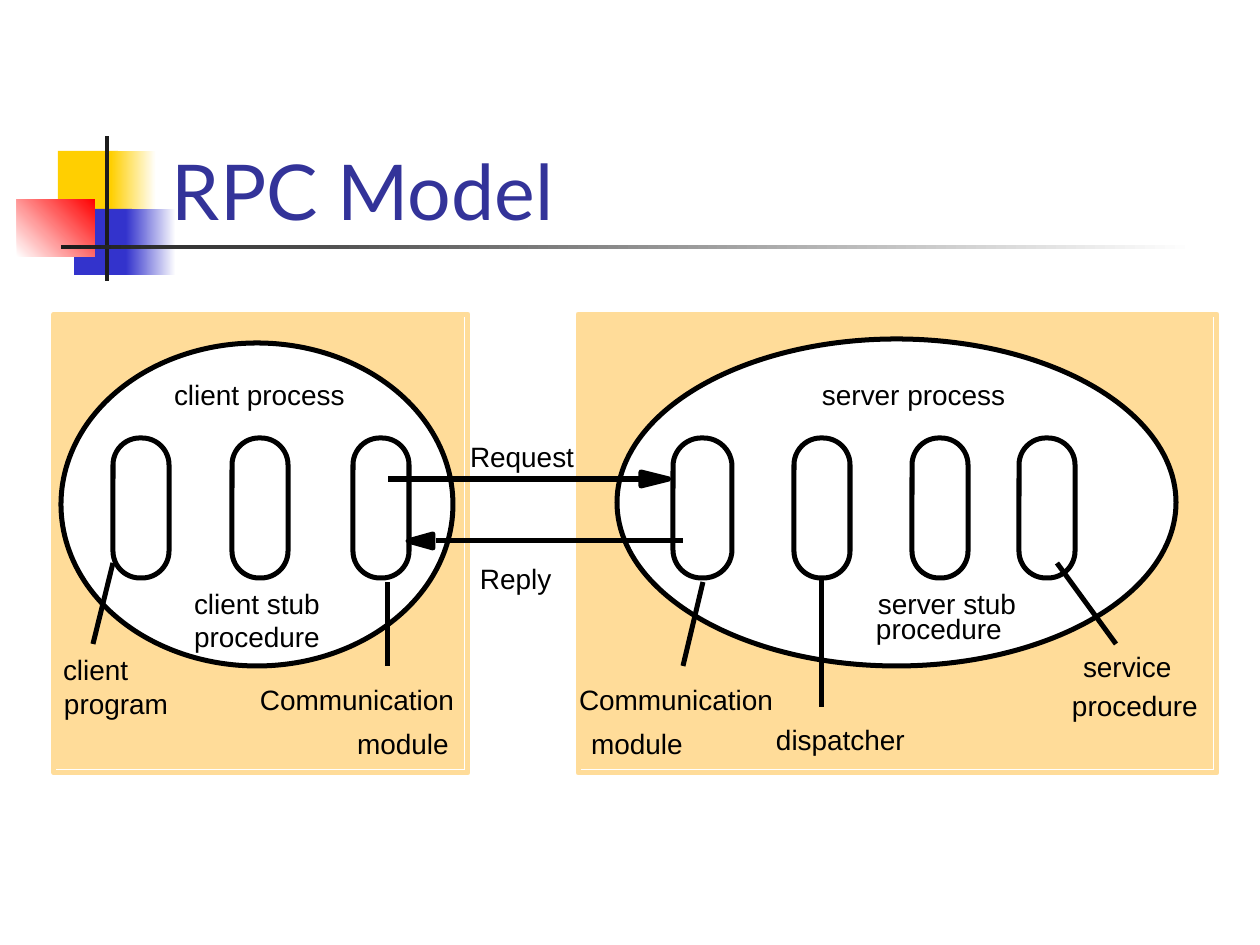
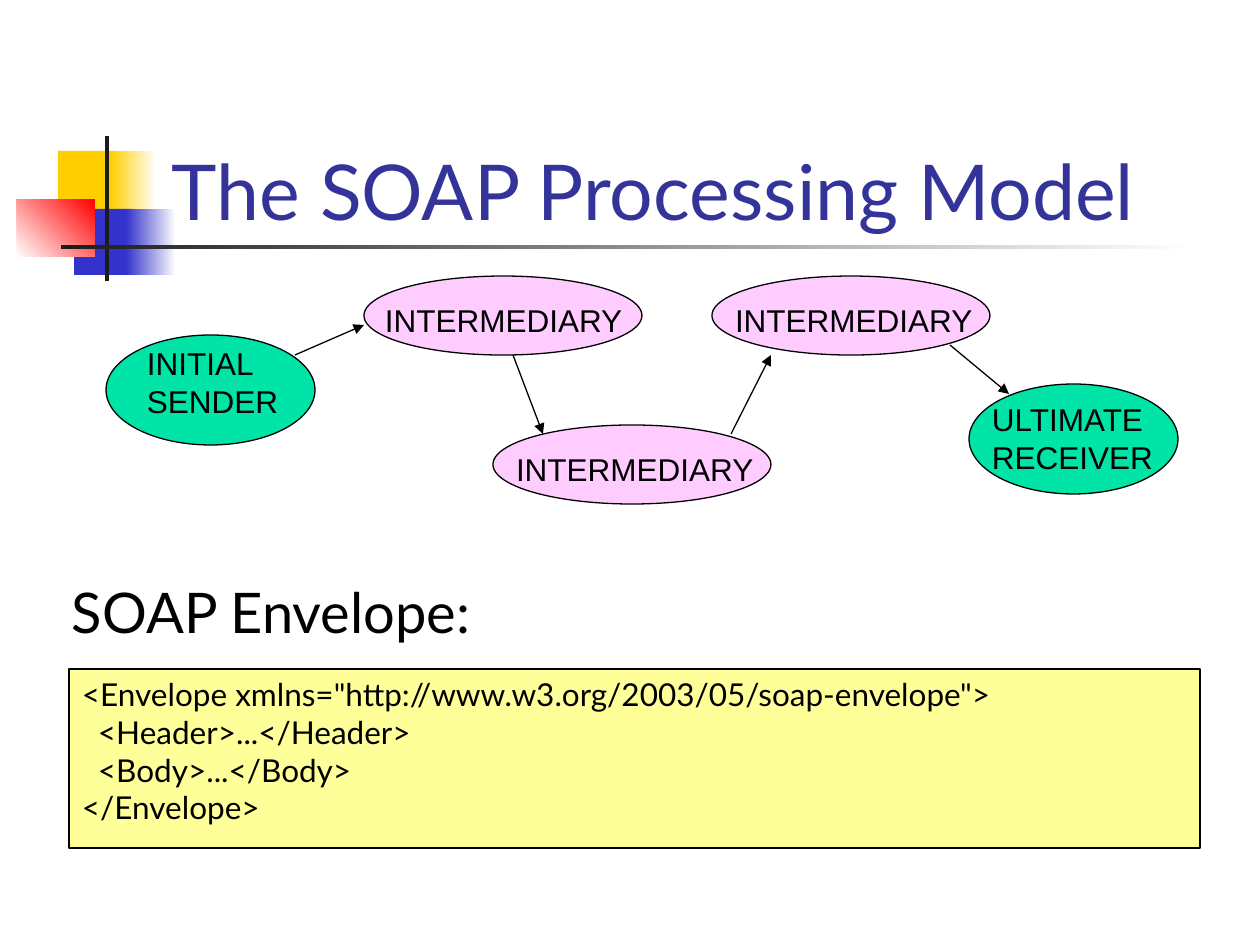
from pptx import Presentation
from pptx.dml.color import RGBColor
from pptx.enum.shapes import MSO_CONNECTOR as CONN, MSO_SHAPE as SHAPE
from pptx.enum.text import MSO_ANCHOR as ANCHOR, PP_ALIGN as ALIGN
from pptx.oxml.ns import qn
from pptx.util import Pt
from lxml.etree import SubElement

PX = 914400 / 126  # EMU per px, 126 px to the inch
rgb = RGBColor.from_string

BLACK, WHITE, DARK = "000000", "FFFFFF", "1C1C1C"
YELLOW, BLUE, RED = "FFCF01", "3333CC", "FF0000"
TITLE, PANEL = "333399", "FFDC99"
PINK, GREEN, CODE = "FFCCFF", "00E4A8", "FFFF99"
THICK, THIN = 2.86, 0.75
LABEL = {"name": "Arial", "size": Pt(16)}
NODE = {"name": "Arial", "size": Pt(18)}
CODE_FONT = {"name": "Lato", "size": Pt(18)}
HEADING = {"name": "Lato", "size": Pt(32)}
TITLE_FONT = {"name": "Lato", "size": Pt(44)}


def add_shape(s, kind, box, fill=None, line=None, width=THIN, angle=0):
    """Add a preset shape; a pair of colours as fill makes a gradient."""
    sp = s.shapes.add_shape(kind, *[round(v * PX) for v in box])
    sp.shadow.inherit = False
    if isinstance(fill, tuple):
        sp.fill.gradient()
        sp.fill.gradient_angle = angle
        for stop, color in zip(sp.fill.gradient_stops, fill):
            stop.color.rgb = rgb(color)
    elif fill:
        sp.fill.solid()
        sp.fill.fore_color.rgb = rgb(fill)
    else:
        sp.fill.background()
    if line:
        sp.line.color.rgb = rgb(line)
        sp.line.width = Pt(width)
    else:
        sp.line.fill.background()
    return sp


def add_text(s, lines, box, font, color=BLACK, anchor=ANCHOR.TOP, inset=(13, 6), sp=None):
    """Write lines into sp, or into a new text box."""
    sp = sp or s.shapes.add_textbox(*[round(v * PX) for v in box])
    tf = sp.text_frame
    dx, dy = [round(v * PX) for v in inset]
    frame = {"word_wrap": True, "vertical_anchor": anchor, "margin_left": dx,
             "margin_right": dx, "margin_top": dy, "margin_bottom": dy}
    for key, value in frame.items():
        setattr(tf, key, value)
    for i, line in enumerate(lines):
        p = tf.add_paragraph() if i else tf.paragraphs[0]
        p.alignment = ALIGN.LEFT
        r = p.add_run()
        r.text = line
        for key, value in font.items():
            setattr(r.font, key, value)
        r.font.color.rgb = rgb(color)
    return tf


prs = Presentation()
prs.slide_width, prs.slide_height = round(1260 * PX), round(945 * PX)

# Shared decoration and title
decoration = [
    ((58, 151, 60, 66), YELLOW, 0),
    ((111, 151, 45, 66), (YELLOW, WHITE), 0),
    ((74, 209, 58, 66), BLUE, 0),
    ((126, 209, 50, 66), (BLUE, WHITE), 0),
    ((17, 199, 78, 58), (WHITE, RED), 45),
    ((105, 136, 4, 145), DARK, 0),
    ((61, 245, 1134, 4), (DARK, WHITE), 0),
]
slides = []
for title in ("RPC Model", "The SOAP Processing Model"):
    s = prs.slides.add_slide(prs.slide_layouts[6])
    for box, fill, angle in decoration:
        add_shape(s, SHAPE.RECTANGLE, box, fill, angle=angle)
    add_text(s, [title], (159, 84, 1074, 158), TITLE_FONT, TITLE, ANCHOR.BOTTOM)
    slides.append(s)
rpc, soap = slides

# RPC: client and server panels
for x, w in ((54, 410), (578, 635)):
    add_shape(rpc, SHAPE.RECTANGLE, (x, 314, w, 455), PANEL)
    add_shape(rpc, SHAPE.RECTANGLE, (x, 314, w + 4, 459), None, PANEL, THICK)
for box in ((617, 339, 559, 327), (61, 343, 392, 323)):
    add_shape(rpc, SHAPE.OVAL, box, WHITE, BLACK, THICK)

# RPC: procedures inside the processes
for x, w in ((113, 56), (232, 56), (353, 56), (673, 59), (794, 56), (912, 56), (1019, 56)):
    sp = add_shape(rpc, SHAPE.ROUNDED_RECTANGLE, (x, 438, w, 140), None, BLACK, THICK)
    sp.adjustments[0] = 0.48

# RPC: arrowheads of request and reply
for base, tip, y in ((641, 669, 479), (433, 408, 541)):
    fb = rpc.shapes.build_freeform(base, y - 7, PX)
    fb.add_line_segments([(tip, y), (base, y + 7)])
    sp = fb.convert_to_shape()
    sp.shadow.inherit = False
    sp.fill.solid()
    sp.fill.fore_color.rgb = rgb(BLACK)
    sp.line.color.rgb = rgb(BLACK)
    sp.line.width = Pt(THICK)

# RPC: labels
labels = [
    ("client process", 174, 378), ("server process", 822, 378),
    ("Request", 470, 440), ("Reply", 480, 562),
    ("client stub", 194, 587), ("procedure", 194, 620),
    ("server stub", 878, 587), ("procedure", 876, 612),
    ("client", 63, 653), ("program", 64, 687),
    ("Communication", 260, 683), ("module", 357, 727),
    ("Communication", 579, 683), ("module", 591, 727),
    ("dispatcher", 776, 723),
    ("service", 1083, 650), ("procedure", 1072, 689),
]
for label, x, y in labels:
    add_text(rpc, [label], (x, y, 210, 34), LABEL, inset=(0, 0))

# SOAP: nodes with their text positions
nodes = [
    (["INTERMEDIARY"], PINK, (493, 425, 278, 79), (503, 444)),
    (["INTERMEDIARY"], PINK, (712, 276, 278, 79), (722, 295)),
    (["INTERMEDIARY"], PINK, (364, 276, 278, 79), (372, 295)),
    (["ULTIMATE", "RECEIVER"], GREEN, (969, 384, 209, 110), (979, 394)),
    (["INITIAL", "SENDER"], GREEN, (106, 335, 209, 110), (134, 338)),
]
for lines, fill, box, (x, y) in nodes:
    add_shape(soap, SHAPE.OVAL, box, fill, BLACK)
    add_text(soap, lines, (x, y, 270, 50), NODE)

# SOAP: envelope code
add_text(soap, ["SOAP Envelope:"], (59, 571, 1163, 80), HEADING)
envelope = ['<Envelope xmlns="http://www.w3.org/2003/05/soap-envelope">',
            "<Header>...</Header>", "<Body>...</Body>", "</Envelope>"]
sp = add_shape(soap, SHAPE.RECTANGLE, (69, 669, 1131, 179), CODE, BLACK)
tf = add_text(soap, envelope, None, CODE_FONT, sp=sp)
for p in tf.paragraphs[1:3]:
    p._p.get_or_add_pPr().set("marL", str(round(16 * PX)))

# Lines of both slides
rpc_lines = [
    (641, 479, 388, 479), (436, 541, 683, 541),
    (683, 666, 703, 582), (388, 666, 388, 582),
    (93, 644, 113, 563), (1116, 644, 1057, 563), (822, 707, 822, 578),
]
soap_arrows = [
    (295, 355, 364, 325), (513, 355, 543, 434),
    (731, 434, 771, 355), (950, 345, 1009, 394),
]
for s, ends, width, head in ((rpc, rpc_lines, THICK, None), (soap, soap_arrows, THIN, "triangle")):
    for end in ends:
        cx = s.shapes.add_connector(CONN.STRAIGHT, *[round(v * PX) for v in end])
        cx.line.color.rgb = rgb(BLACK)
        cx.line.width = Pt(width)
        if head:
            SubElement(cx.line._get_or_add_ln(), qn("a:tailEnd"), type=head)
        SubElement(cx._element.spPr, qn("a:effectLst"))

prs.save("out.pptx")
